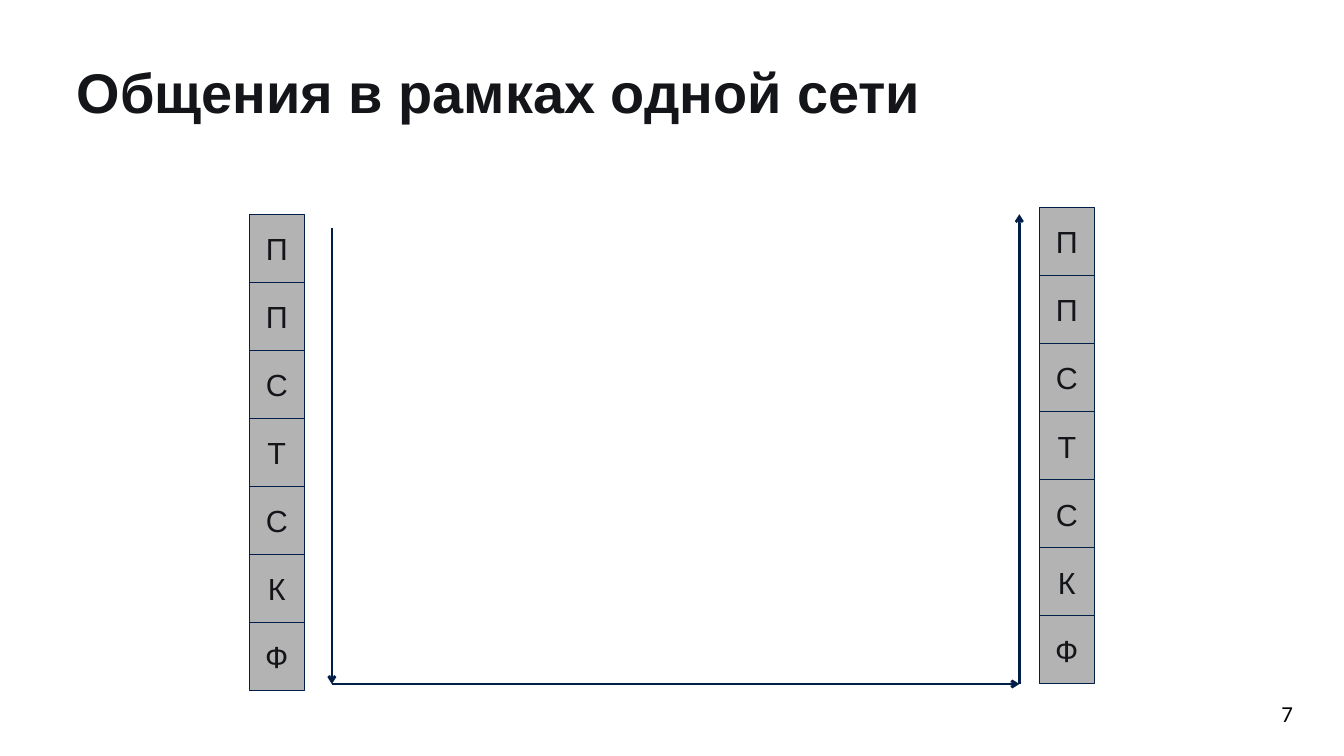
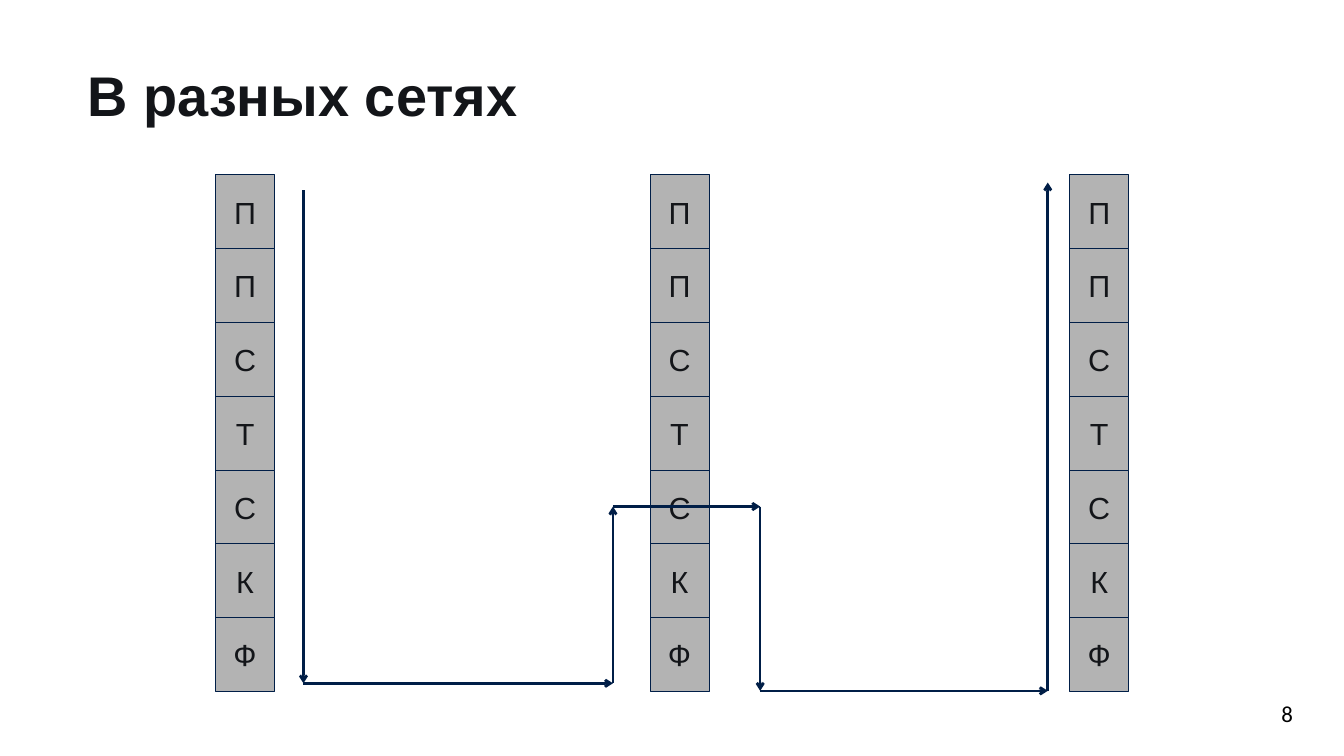
"""Two slides on how data passes through the layers of network hosts."""
from dataclasses import dataclass
from itertools import pairwise

from lxml.etree import SubElement
from pptx import Presentation
from pptx.dml.color import RGBColor
from pptx.enum.shapes import MSO_CONNECTOR, MSO_SHAPE
from pptx.enum.text import MSO_ANCHOR, MSO_AUTO_SIZE, PP_ALIGN
from pptx.oxml.ns import qn
from pptx.util import Cm, Pt


@dataclass(frozen=True)
class Theme:
    """Colours, fonts and type sizes."""
    ink: str = "131519"
    black: str = "000000"
    cell: str = "B3B3B3"
    line: str = "001E47"
    font: str = "Arial"
    number_font: str = "Calibri"
    title_size: int = 44
    layer_size: int = 24
    number_size: int = 18


THEME = Theme()
SLIDE_SIZE = 37.34, 21
NUMBER_BOX = 32.97, 19.25, 3.2, 1.12
LAYERS = "ППСТСКФ"
SLIDES = [
    {
        "title": "Общения в рамках одной сети",
        "title_box": (1.88, 1.68, 33.6, 2.97),
        "number": "7",
        "cell": (1.52, 1.89),
        "stacks": [(6.93, 5.95), (28.88, 5.77)],
        "route": [(9.22, 6.32), (9.22, 19), (28.32, 19), (28.32, 5.95)],
    },
    {
        "title": "В разных сетях",
        "title_box": (2.18, 1.78, 17.91, 2.39),
        "number": "8",
        "cell": (1.64, 2.05),
        "stacks": [(5.99, 4.86), (18.06, 4.86), (29.72, 4.86)],
        "route": [(8.43, 5.28), (8.43, 18.98), (17.03, 18.98), (17.03, 14.07),
                  (21.12, 14.07), (21.12, 19.19), (29.11, 19.19), (29.11, 5.07)],
    },
]


def cm(values):
    """Convert centimetres to lengths."""
    return [Cm(v) for v in values]


def apply(obj, **values):
    """Set attributes from format values."""
    for name, value in values.items():
        setattr(obj, name, value)


def write(s, text, size, align, anchor, font=THEME.font, color=THEME.ink, bold=False, wrap=True):
    """Put one formatted line of text in a shape."""
    tf = s.text_frame
    apply(tf, text=text, vertical_anchor=anchor, word_wrap=wrap, auto_size=MSO_AUTO_SIZE.NONE)
    p = tf.paragraphs[0]
    p.alignment = align
    apply(p.font, name=font, size=Pt(size), bold=bold)
    p.font.color.rgb = RGBColor.from_string(color)
    return p


def hairline(s):
    """Give a shape or connector the thinnest line."""
    s.line.color.rgb = RGBColor.from_string(THEME.line)
    s.line.width = Pt(0)


def add_title(slide, text, box):
    """Place and format the title."""
    s = slide.shapes.title
    apply(s, **dict(zip(("left", "top", "width", "height"), cm(box))))
    p = write(s, text, THEME.title_size, PP_ALIGN.LEFT, MSO_ANCHOR.TOP, bold=True)
    apply(p, line_spacing=0.9, space_before=Pt(0))


def add_stack(slide, left, top, width, height):
    """Draw one host as a column of layers."""
    for i, layer in enumerate(LAYERS):
        s = slide.shapes.add_shape(MSO_SHAPE.RECTANGLE, *cm((left, top + i * height, width, height)))
        s.shadow.inherit = False
        s.fill.solid()
        s.fill.fore_color.rgb = RGBColor.from_string(THEME.cell)
        hairline(s)
        write(s, layer, THEME.layer_size, PP_ALIGN.CENTER, MSO_ANCHOR.MIDDLE, wrap=False)


def add_route(slide, points):
    """Join successive points with arrows."""
    for start, end in pairwise(points):
        s = slide.shapes.add_connector(MSO_CONNECTOR.STRAIGHT, *cm(start + end))
        hairline(s)
        SubElement(s.line._get_or_add_ln(), qn("a:tailEnd"), type="arrow")
        SubElement(s._element.spPr, qn("a:effectLst"))


def add_number(slide, number):
    """Write the page number."""
    s = slide.shapes.add_textbox(*cm(NUMBER_BOX))
    write(s, number, THEME.number_size, PP_ALIGN.RIGHT, MSO_ANCHOR.MIDDLE,
          font=THEME.number_font, color=THEME.black)


def main():
    """Build and save the slides."""
    prs = Presentation()
    prs.slide_width, prs.slide_height = cm(SLIDE_SIZE)
    for content in SLIDES:
        slide = prs.slides.add_slide(prs.slide_layouts[5])
        add_title(slide, content["title"], content["title_box"])
        for left, top in content["stacks"]:
            add_stack(slide, left, top, *content["cell"])
        add_route(slide, content["route"])
        add_number(slide, content["number"])
    prs.save("out.pptx")


if __name__ == "__main__":
    main()
